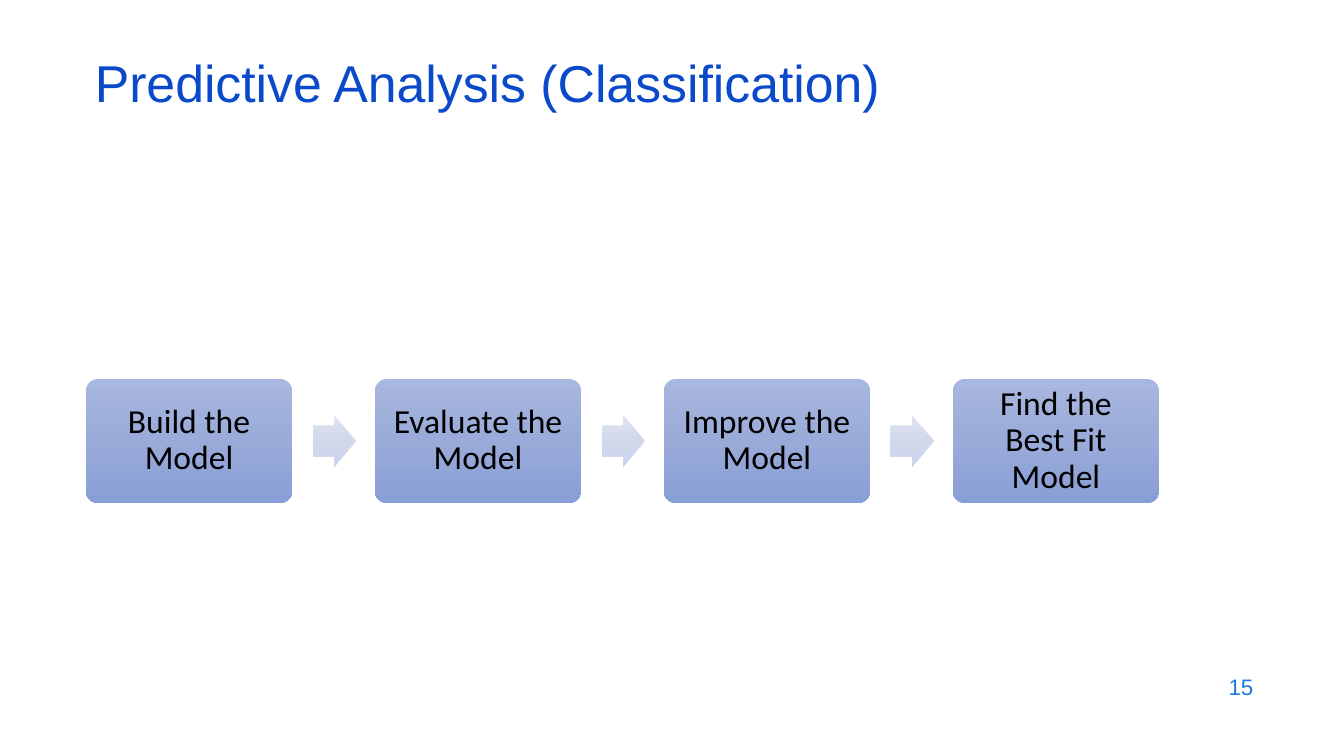
from copy import deepcopy
from dataclasses import dataclass

from pptx import Presentation
from pptx.dml.color import RGBColor as Rgb
from pptx.enum.shapes import MSO_SHAPE as Shape
from pptx.enum.text import MSO_ANCHOR as Anchor, MSO_AUTO_SIZE as Auto, PP_ALIGN as Align
from pptx.oxml.ns import qn
from pptx.util import Inches, Pt

COLORS = {
    "title": "0B49CB",
    "number": "1C7DDB",
    "text": "000000",
    "box": ("A8B7DF", "9AABD9", "889ED7"),
    "arrow": ("DEE3F2", "D2D8EC", "CCD3EB"),
}
STEPS = ("Build the Model", "Evaluate the Model",
         "Improve the Model", "Find the Best Fit Model")
LEFT, PITCH, MIDDLE = 0.85, 2.866, 4.375


@dataclass
class Style:
    font: str
    size: int
    color: str
    align: Align
    spacing: float = 1.0
    inset: float | None = None


@dataclass
class Block:
    kind: Shape
    shift: float
    width: float
    height: float
    color: str
    adjust: tuple[float, ...]


TITLE = Style("Arial", 37, "title", Align.LEFT, 0.7)
NUMBER = Style("Arial", 16, "number", Align.RIGHT)
LABEL = Style("Calibri", 24, "text", Align.CENTER, 0.9, 0.13)
BOX = Block(Shape.ROUNDED_RECTANGLE, 0, 2.05, 1.23, "box", (0.1,))
ARROW = Block(Shape.RIGHT_ARROW, 2.25, 0.43, 0.51, "arrow", (0.6, 0.5))


def apply(target, values: dict) -> None:
    for name, value in values.items():
        setattr(target, name, value)


def place(shape, left: float, top: float, width: float, height: float) -> None:
    apply(shape, {"left": Inches(left), "top": Inches(top),
                  "width": Inches(width), "height": Inches(height)})


def write(shape, text: str, style: Style) -> None:
    frame = shape.text_frame
    frame.text = text
    apply(frame, {"word_wrap": True, "auto_size": Auto.NONE,
                  "vertical_anchor": Anchor.MIDDLE})
    if style.inset is not None:
        sides = ("left", "top", "right", "bottom")
        apply(frame, {f"margin_{side}": Inches(style.inset) for side in sides})
    line = frame.paragraphs[0]
    apply(line, {"alignment": style.align, "line_spacing": style.spacing})
    font = line.runs[0].font
    apply(font, {"name": style.font, "size": Pt(style.size)})
    font.color.rgb = Rgb.from_string(COLORS[style.color])


def shade(shape, tones: tuple[str, ...]) -> None:
    """Fill with three evenly spaced tones from top to bottom."""
    fill = shape.fill
    fill.gradient()
    fill.gradient_angle = 270
    stops = shape._element.spPr.find(qn("a:gradFill")).find(qn("a:gsLst"))
    stops.insert(1, deepcopy(stops[0]))
    for index, (stop, tone) in enumerate(zip(fill.gradient_stops, tones)):
        stop.position = index / (len(tones) - 1)
        stop.color.rgb = Rgb.from_string(tone)


def draw(slide, block: Block, index: int):
    shape = slide.shapes.add_shape(block.kind, 0, 0, 0, 0)
    place(shape, LEFT + index * PITCH + block.shift, MIDDLE - block.height / 2,
          block.width, block.height)
    for item, value in enumerate(block.adjust):
        shape.adjustments[item] = value
    shape.shadow.inherit = False
    shape.line.fill.background()
    shade(shape, COLORS[block.color])
    return shape


def main() -> None:
    deck = Presentation()
    apply(deck, {"slide_width": Inches(13.33), "slide_height": Inches(7.5)})
    slide = deck.slides.add_slide(deck.slide_layouts[5])

    title = slide.shapes.title
    place(title, 0.84, 0.59, 11.5, 0.6)
    write(title, "Predictive Analysis (Classification)", TITLE)

    for index, step in enumerate(STEPS):
        write(draw(slide, BOX, index), step, LABEL)
        if index < len(STEPS) - 1:
            draw(slide, ARROW, index)

    number = slide.shapes.add_textbox(0, 0, 0, 0)
    place(number, 9.53, 6.59, 3, 0.44)
    write(number, "15", NUMBER)

    deck.save("out.pptx")


if __name__ == "__main__":
    main()
